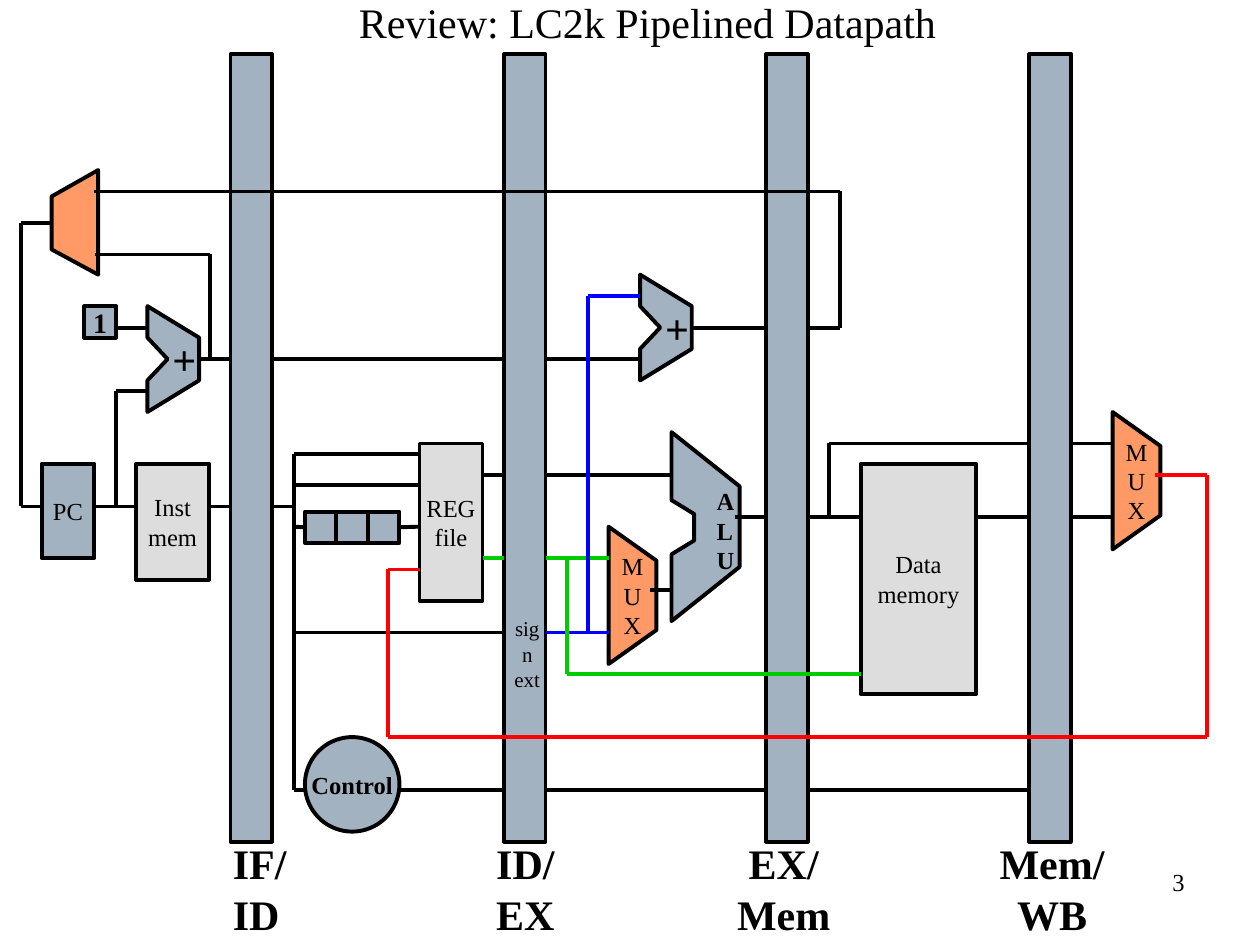
from lxml import etree
from pptx import Presentation
from pptx.dml.color import RGBColor
from pptx.enum import shapes, text
from pptx.oxml.ns import qn
from pptx.util import Inches, Pt

BLACK = RGBColor(0, 0, 0)
STEEL = RGBColor(0xA3, 0xB2, 0xC1)
GRAY = RGBColor(0xDD, 0xDD, 0xDD)
ORANGE = RGBColor(0xFF, 0x99, 0x66)
GREEN = RGBColor(0, 0xCC, 0)
BLUE = RGBColor(0, 0, 0xFF)
RED = RGBColor(0xFF, 0, 0)
LEFT, CENTER, RIGHT = text.PP_ALIGN.LEFT, text.PP_ALIGN.CENTER, text.PP_ALIGN.RIGHT
RECT, OVAL = shapes.MSO_SHAPE.RECTANGLE, shapes.MSO_SHAPE.OVAL


def paint(sp, fill):
    sp.shadow.inherit = False
    sp.fill.solid()
    sp.fill.fore_color.rgb = fill
    sp.line.color.rgb = BLACK
    sp.line.width = Pt(2.25)


def write(sp, lines, size, bold=False, align=CENTER, anchor=text.MSO_ANCHOR.MIDDLE, wrap=False):
    tf = sp.text_frame
    tf.word_wrap = wrap
    tf.vertical_anchor = anchor
    tf.text = lines
    for p in tf.paragraphs:
        p.alignment = align
        p.font.name = "Times New Roman"
        p.font.size = Pt(size)
        p.font.bold = bold
        p.font.color.rgb = BLACK


prs = Presentation()
prs.slide_width, prs.slide_height = Inches(10), Inches(7.5)
s = prs.slides.add_slide(prs.slide_layouts[6])

for x in (1.83, 4, 6.08, 8.17):
    sp = s.shapes.add_shape(RECT, Inches(x), Inches(0.43), Inches(0.33), Inches(6.25))
    paint(sp, STEEL)

blocks = [
    (RECT, 0.33, 3.68, 0.42, 0.75, STEEL, "PC", 14, False),
    (RECT, 1.08, 3.68, 0.58, 0.92, GRAY, "Inst\nmem", 14, False),
    (RECT, 3.33, 3.52, 0.5, 1.25, GRAY, "REG\nfile", 14, False),
    (RECT, 0.67, 2.43, 0.25, 0.25, STEEL, "1", 16, True),
    (RECT, 6.83, 3.68, 0.92, 1.83, GRAY, "Data\nmemory", 14, False),
    (OVAL, 2.42, 5.85, 0.75, 0.75, STEEL, "Control", 14, True),
]
for kind, x, y, w, h, fill, label, size, bold in blocks:
    sp = s.shapes.add_shape(kind, Inches(x), Inches(y), Inches(w), Inches(h))
    paint(sp, fill)
    write(sp, label, size, bold)

fields = []
for i in range(3):
    sp = s.shapes.add_shape(RECT, Inches(2.42 + 0.25 * i), Inches(4.06), Inches(0.25), Inches(0.25))
    paint(sp, STEEL)
    fields.append(sp)

mux = [(0, 0), (0.38, 0.27), (0.38, 0.82), (0, 1.09)]
pc_mux = [(0.37, 0), (0.37, 0.83), (0, 0.63), (0, 0.21)]
adder = [(0, 0), (0.41, 0.25), (0.41, 0.59), (0, 0.84), (0, 0.59), (0.16, 0.42), (0, 0.25)]
alu = [(0, 0), (0.54, 0.43), (0.54, 1.07), (0, 1.5), (0, 0.97), (0.18, 0.86), (0.18, 0.65), (0, 0.54)]
outlines = [
    (0.41, 1.35, pc_mux, ORANGE, ""),
    (8.83, 3.27, mux, ORANGE, "M\nU\nX"),
    (4.83, 4.18, mux, ORANGE, "M\nU\nX"),
    (1.17, 2.43, adder, STEEL, ""),
    (5.08, 2.18, adder, STEEL, ""),
    (5.33, 3.43, alu, STEEL, ""),
]
for x, y, points, fill, label in outlines:
    corners = [(Inches(x + dx), Inches(y + dy)) for dx, dy in points]
    fb = s.shapes.build_freeform(*corners[0])
    fb.add_line_segments(corners[1:], close=True)
    sp = fb.convert_to_shape()
    paint(sp, fill)
    if label:
        write(sp, label, 14)

wires = [
    (BLACK, [(1.67, 4.02), (1.83, 4.02)]),
    (BLACK, [(1.58, 2.85), (1.83, 2.85)]),
    (BLACK, [(1.67, 2.85), (1.67, 2.02), (0.75, 2.02)]),
    (BLACK, [(0.92, 2.6), (1.17, 2.6)]),
    (BLACK, [(0.75, 4.02), (1.08, 4.02)]),
    (BLACK, [(0.92, 4.02), (0.92, 3.1), (1.17, 3.1)]),
    (BLACK, [(0.33, 4.02), (0.17, 4.02), (0.17, 1.77), (0.42, 1.77)]),
    (BLACK, [(2.17, 4.02), (2.33, 4.02)]),
    (BLACK, [(3.33, 3.6), (2.33, 3.6), (2.33, 6.27), (2.42, 6.27)]),
    (BLACK, [(2.33, 5.02), (4, 5.02)]),
    (BLACK, [(2.33, 3.85), (3.33, 3.85)]),
    (BLACK, [(3.83, 3.77), (4, 3.77)]),
    (BLACK, [(4.33, 3.77), (5.33, 3.77)]),
    (BLACK, [(2.17, 2.85), (4, 2.85)]),
    (BLACK, [(4.33, 2.85), (5.08, 2.85)]),
    (BLACK, [(5.34, 4.68), (5.16, 4.68)]),
    (BLACK, [(5.83, 4.1), (6.08, 4.1)]),
    (BLACK, [(5.5, 2.6), (6.08, 2.6)]),
    (BLACK, [(6.42, 4.1), (6.83, 4.1)]),
    (BLACK, [(6.58, 4.1), (6.58, 3.52), (8.17, 3.52)]),
    (BLACK, [(7.75, 4.1), (8.17, 4.1)]),
    (BLACK, [(8.5, 4.1), (8.83, 4.1)]),
    (BLACK, [(8.5, 3.52), (8.83, 3.52)]),
    (BLACK, [(6.42, 2.6), (6.67, 2.6), (6.67, 1.52), (0.75, 1.52)]),
    (BLACK, [(3.17, 6.27), (4, 6.27)]),
    (BLACK, [(4.33, 6.27), (6.08, 6.27)]),
    (BLACK, [(6.42, 6.27), (8.17, 6.27)]),
    (BLACK, [(2.42, 4.18), (2.33, 4.18)]),
    (BLACK, [(3.17, 4.18), (3.33, 4.18)]),
    (GREEN, [(3.83, 4.43), (4, 4.43)]),
    (GREEN, [(4.33, 4.43), (4.83, 4.43)]),
    (BLUE, [(4.33, 5.02), (4.83, 5.02)]),
    (BLUE, [(4.67, 5.02), (4.67, 2.35), (5.08, 2.35)]),
    (GREEN, [(4.5, 4.43), (4.5, 5.35), (6.83, 5.35)]),
    (RED, [(9.17, 3.77), (9.58, 3.77), (9.58, 5.85), (3.08, 5.85), (3.08, 4.52), (3.33, 4.52)]),
]
joins = {(2.42, 4.18): (fields[0], 1), (3.17, 4.18): (fields[2], 3)}
for color, points in wires:
    for start, end in zip(points, points[1:]):
        c = s.shapes.add_connector(shapes.MSO_CONNECTOR.STRAIGHT, *map(Inches, start + end))
        c.line.color.rgb = color
        c.line.width = Pt(2.25)
        etree.SubElement(c._element.spPr, qn("a:effectLst"))
        if start in joins:
            c.begin_connect(*joins[start])

labels = [
    (2.75, -0.08, 4.78, 0.5, "Review: LC2k Pipelined Datapath", 24, False, LEFT, False),
    (1.27, 2.6, 0.39, 0.5, "+", 24, True, LEFT, False),
    (5.18, 2.35, 0.39, 0.5, "+", 24, True, LEFT, False),
    (5.59, 3.81, 0.34, 0.8, "A\nL\nU", 14, True, LEFT, False),
    (3.95, 4.84, 0.47, 0.5, "sign\next", 12, False, CENTER, True),
    (1.75, 6.6, 0.7, 0.9, "IF/\nID", 24, True, LEFT, True),
    (3.84, 6.6, 0.7, 0.9, "ID/\nEX", 24, True, LEFT, True),
    (5.72, 6.6, 1, 0.9, "EX/\nMem", 24, True, CENTER, True),
    (7.8, 6.6, 1.1, 0.9, "Mem/\nWB", 24, True, CENTER, True),
    (7.17, 6.83, 2.33, 0.52, "3", 14, False, RIGHT, True),
]
for x, y, w, h, label, size, bold, align, wrap in labels:
    sp = s.shapes.add_textbox(Inches(x), Inches(y), Inches(w), Inches(h))
    write(sp, label, size, bold, align, text.MSO_ANCHOR.TOP, wrap)

prs.save("out.pptx")
